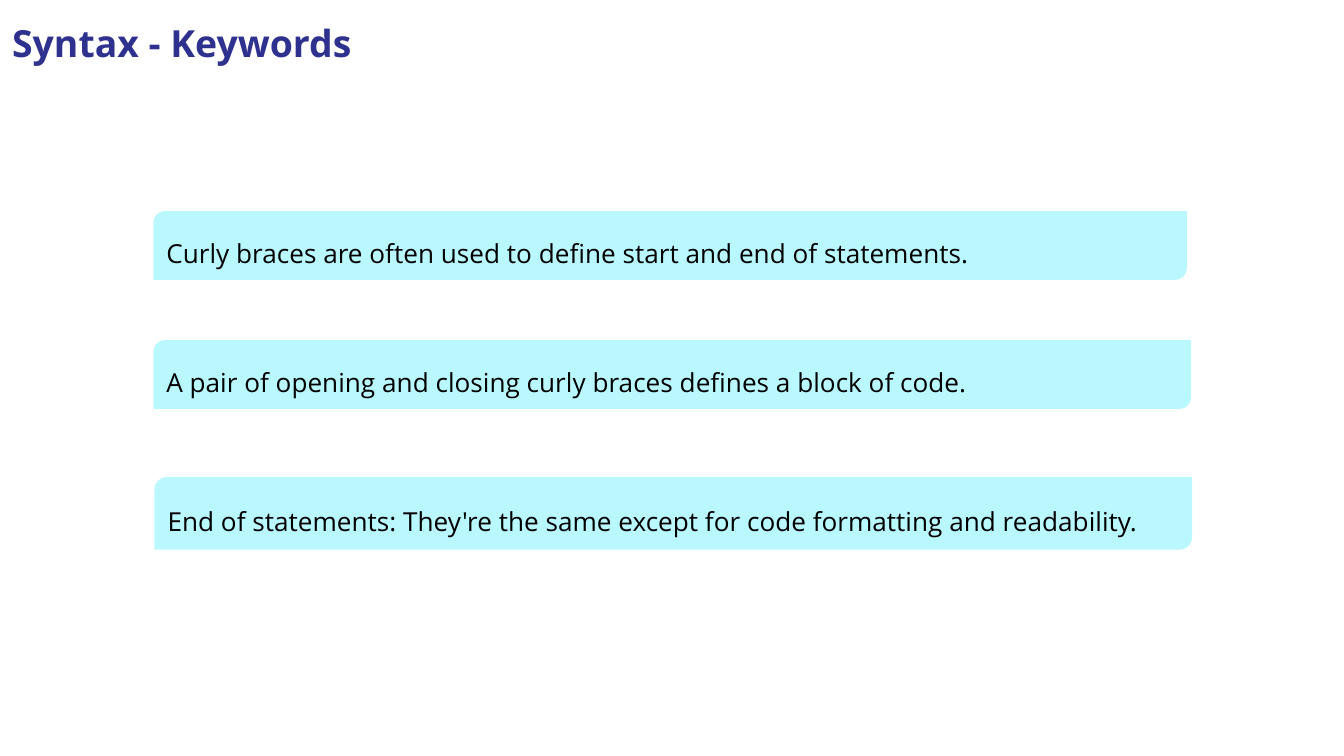
import pptx
import pptx.util
import pptx.dml.color
import pptx.enum.shapes
import pptx.enum.text

Cm = pptx.util.Cm
RGBColor = pptx.dml.color.RGBColor

INDIGO = RGBColor(0x2E, 0x31, 0x8E)
PALE_CYAN = RGBColor(0xBA, 0xF8, 0xFF)
BLACK = RGBColor(0, 0, 0)
FONT = "Open Sans"

# Left, top, width and height in centimetres, then the wording
STATEMENTS = [
    (2.9, 3.99, 19.53, 1.3,
     "Curly braces are often used to define start and end of statements."),
    (2.9, 6.43, 19.61, 1.3,
     "A pair of opening and closing curly braces defines a block of code."),
    (2.92, 9.02, 19.61, 1.37,
     "End of statements: They're the same except for code formatting and readability."),
]


def write_text(shape, text, size, color, bold, anchor, margin_x, margin_y):
    frame = shape.text_frame
    frame.text = text
    frame.word_wrap = True
    frame.auto_size = pptx.enum.text.MSO_AUTO_SIZE.NONE
    frame.vertical_anchor = anchor
    frame.margin_left = frame.margin_right = Cm(margin_x)
    frame.margin_top = frame.margin_bottom = Cm(margin_y)
    para = frame.paragraphs[0]
    para.alignment = pptx.enum.text.PP_ALIGN.LEFT
    font = para.runs[0].font
    font.name = FONT
    font.size = pptx.util.Pt(size)
    font.bold = bold
    font.color.rgb = color
    return para


def format_title(page, text):
    title = page.shapes.title
    title.left, title.top = Cm(-0.02), Cm(0.13)
    title.width, title.height = Cm(20.1), Cm(1.3)
    para = write_text(title, text, 20, INDIGO, True,
                      pptx.enum.text.MSO_ANCHOR.TOP, 0.25, 0.25)
    para.line_spacing = 1.0
    para.space_before = pptx.util.Pt(0)


def add_statement(page, left, top, width, height, text):
    box = page.shapes.add_shape(
        pptx.enum.shapes.MSO_SHAPE.ROUND_2_DIAG_RECTANGLE,
        Cm(left), Cm(top), Cm(width), Cm(height))
    box.adjustments[0] = 0.17
    box.adjustments[1] = 0
    box.shadow.inherit = False
    box.fill.solid()
    box.fill.fore_color.rgb = PALE_CYAN
    box.line.fill.background()
    para = write_text(box, text, 14, BLACK, False,
                      pptx.enum.text.MSO_ANCHOR.MIDDLE, 0.18, 0.1)
    para.line_spacing = 1.5


def main():
    deck = pptx.Presentation()
    deck.slide_width, deck.slide_height = Cm(25.4), Cm(14.29)
    page = deck.slides.add_slide(deck.slide_layouts.get_by_name("Title Only"))

    # Heading
    format_title(page, "Syntax - Keywords")

    # Statement boxes
    for statement in STATEMENTS:
        add_statement(page, *statement)

    deck.save("out.pptx")


if __name__ == "__main__":
    main()
